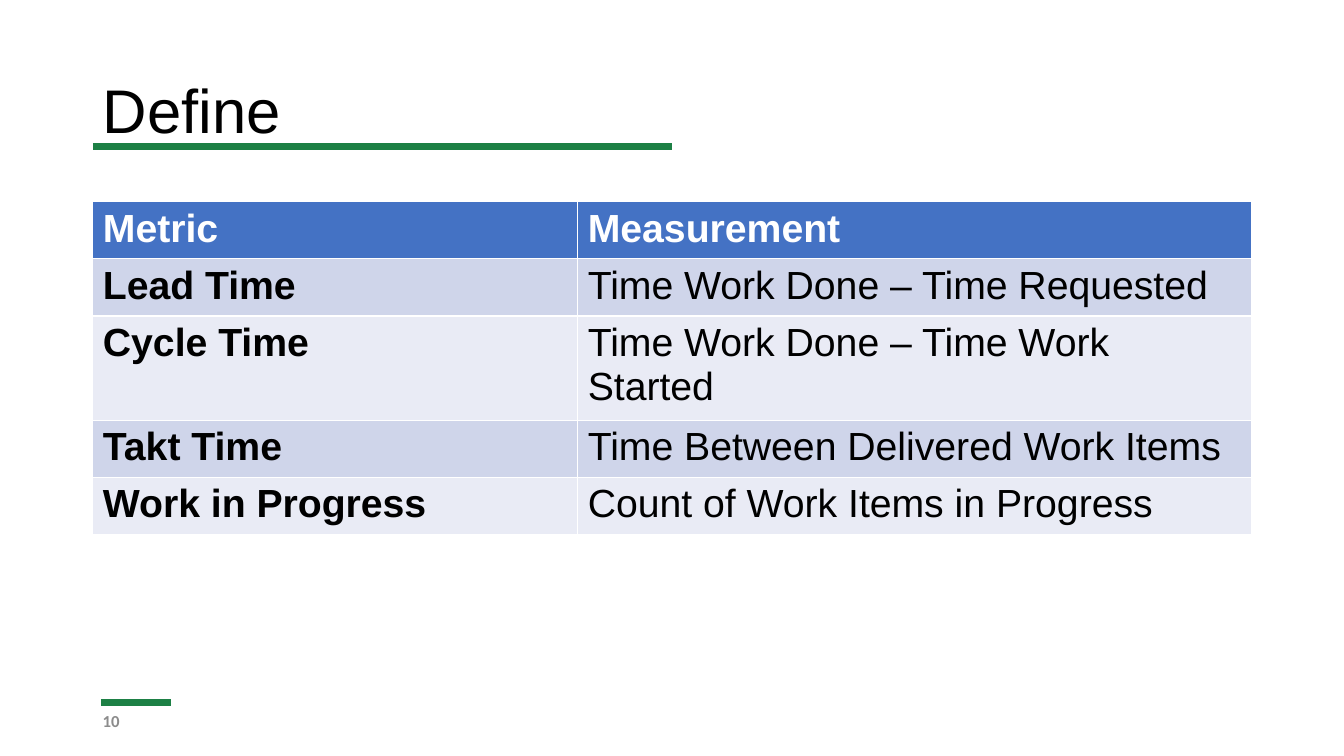
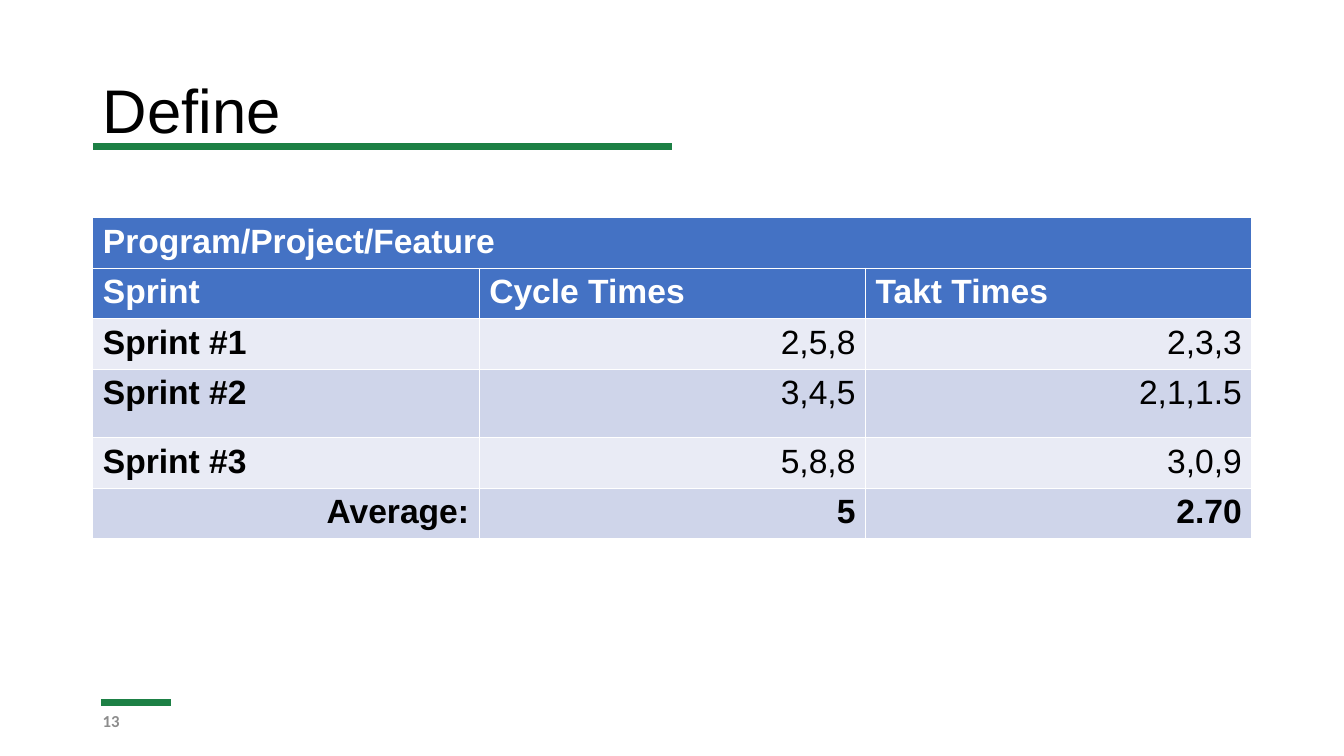
from lxml import etree
from pptx import Presentation
from pptx.dml.color import RGBColor
from pptx.enum import shapes, text
from pptx.oxml.ns import qn
from pptx.util import Cm, Pt

COLORS = {
    "green": "1D8045",
    "header": "4472C4",
    "odd": "CFD5EA",
    "even": "E9EBF5",
    "black": "000000",
    "white": "FFFFFF",
    "grey": "8C8C8C",
}
LEFT, WIDTH = 2.34, 29.21
RULES = [(2.54, 4.32, 17.7), (LEFT, 16.94, 3.68)]  # x start, x end, y

SLIDES = [
    {
        "number": "10", "top": 5.08, "size": 28, "header_rows": 1,
        "cols": [12.22, 16.99],
        "heights": [1.35, 1.35, 2.46, 1.35, 1.35],
        "align_right": False,
        "rows": [
            ["Metric", "Measurement"],
            ["Lead Time", "Time Work Done – Time Requested"],
            ["Cycle Time", "Time Work Done – Time Work Started"],
            ["Takt Time", "Time Between Delivered Work Items"],
            ["Work in Progress", "Count of Work Items in Progress"],
        ],
    },
    {
        "number": "13", "top": 5.49, "size": 24, "header_rows": 2,
        "cols": [WIDTH / 3] * 3,
        "heights": [1.2, 1.2, 1.2, 1.73, 1.2, 1.2],
        "align_right": True,
        "rows": [
            ["Program/Project/Feature"],
            ["Sprint", "Cycle Times", "Takt Times"],
            ["Sprint #1", "2,5,8", "2,3,3"],
            ["Sprint #2", "3,4,5", "2,1,1.5"],
            ["Sprint #3", "5,8,8", "3,0,9"],
            ["Average:", "5", "2.70"],
        ],
    },
]


def style(p, size, color, font="Arial", bold=False):
    for r in p.runs:
        r.font.name = font
        r.font.size = Pt(size)
        r.font.bold = bold
        r.font.color.rgb = RGBColor.from_string(COLORS[color])


def add_label(s, label, top, height):
    """Add a vertically centred text box at the left margin; return its paragraph."""
    tf = s.shapes.add_textbox(Cm(LEFT), Cm(top), Cm(WIDTH), Cm(height)).text_frame
    tf.word_wrap = True
    tf.vertical_anchor = text.MSO_ANCHOR.MIDDLE
    tf.text = label
    return tf.paragraphs[0]


prs = Presentation()
prs.slide_width, prs.slide_height = Cm(33.87), Cm(19.05)

for data in SLIDES:
    s = prs.slides.add_slide(prs.slide_layouts[6])

    for x1, x2, y in RULES:
        rule = s.shapes.add_connector(
            shapes.MSO_CONNECTOR.STRAIGHT, Cm(x1), Cm(y), Cm(x2), Cm(y))
        rule.line.color.rgb = RGBColor.from_string(COLORS["green"])
        rule.line.width = Pt(5)
        etree.SubElement(rule.element.spPr, qn("a:effectLst"))

    title = add_label(s, "Define", 1.02, 3.68)
    title.line_spacing = 0.9
    style(title, 44, "black")

    style(add_label(s, data["number"], 17.65, 1.02), 12, "grey", "Calibri", True)

    rows, cols = data["rows"], data["cols"]
    table = s.shapes.add_table(
        len(rows), len(cols), Cm(LEFT), Cm(data["top"]),
        Cm(WIDTH), Cm(sum(data["heights"]))).table
    for column, width in zip(table.columns, cols):
        column.width = Cm(width)
    for row, height in zip(table.rows, data["heights"]):
        row.height = Cm(height)

    for i, values in enumerate(rows):
        header = i < data["header_rows"]
        average = values[0] == "Average:"
        fill = "header" if header else "odd" if i % 2 else "even"
        if len(values) == 1:
            table.cell(i, 0).merge(table.cell(i, len(cols) - 1))
        for j, value in enumerate(values):
            cell = table.cell(i, j)
            cell.fill.solid()
            cell.fill.fore_color.rgb = RGBColor.from_string(COLORS[fill])
            cell.text_frame.text = value
            p = cell.text_frame.paragraphs[0]
            if average or (data["align_right"] and not header and j):
                p.alignment = text.PP_ALIGN.RIGHT
            style(p, data["size"], "white" if header else "black",
                  bold=header or average or j == 0)

prs.save("out.pptx")
